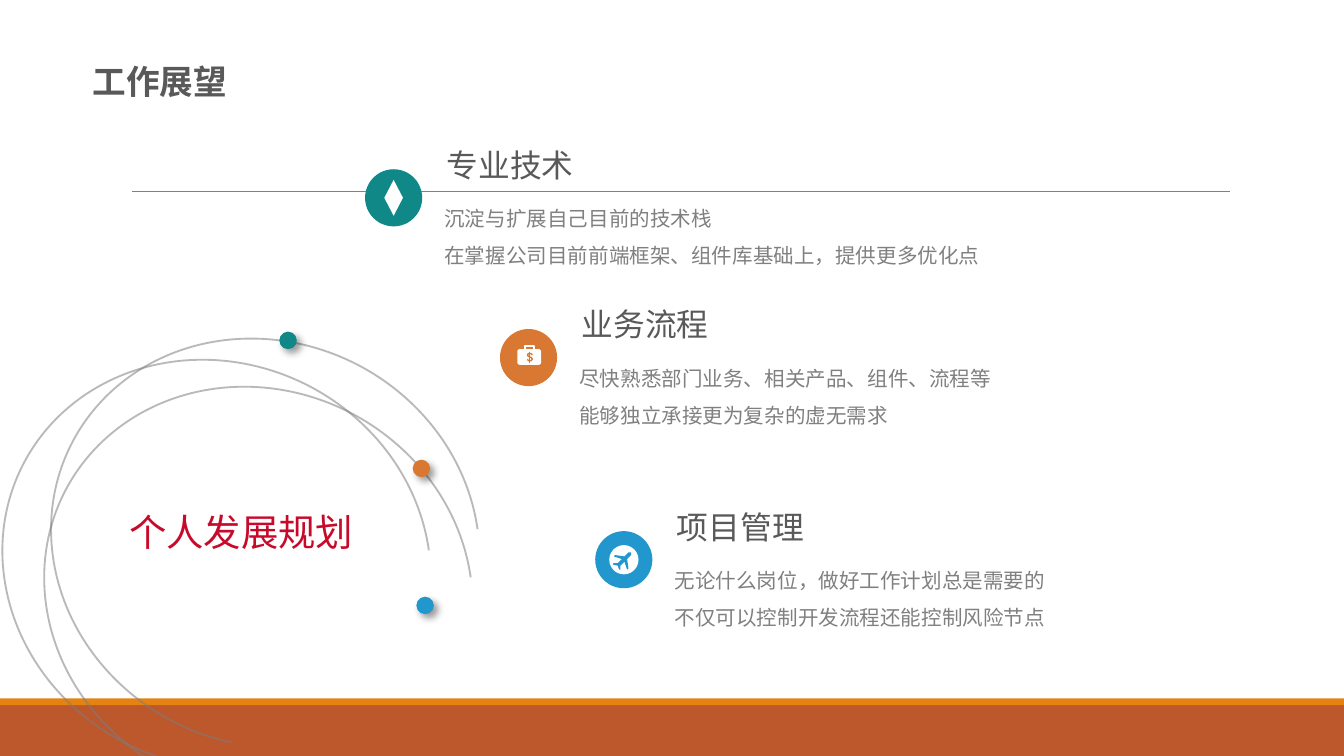
from dataclasses import dataclass

from lxml import etree
from pptx import Presentation
from pptx.dml.color import RGBColor
from pptx.enum.shapes import MSO_CONNECTOR, MSO_SHAPE
from pptx.enum.text import MSO_ANCHOR, MSO_AUTO_SIZE, PP_ALIGN
from pptx.oxml.ns import qn
from pptx.util import Cm, Pt

RECTANGLE = MSO_SHAPE.RECTANGLE
ROUNDED = MSO_SHAPE.ROUNDED_RECTANGLE
OVAL = MSO_SHAPE.OVAL
DIAMOND = MSO_SHAPE.DIAMOND
ARC = MSO_SHAPE.ARC
STRAIGHT = MSO_CONNECTOR.STRAIGHT
TOP, BOTTOM = MSO_ANCHOR.TOP, MSO_ANCHOR.BOTTOM
LEFT, CENTER = PP_ALIGN.LEFT, PP_ALIGN.CENTER
FIT_SHAPE = MSO_AUTO_SIZE.SHAPE_TO_FIT_TEXT


@dataclass(frozen=True)
class Theme:
    font: str = "Arial"
    title_size: int = 18
    heading_size: int = 17
    body_size: int = 11
    plan_size: int = 20
    white: str = "FFFFFF"
    dark: str = "595959"
    gray: str = "808080"
    arc: str = "7B7C81"
    red: str = "C80A2A"
    teal: str = "108887"
    orange: str = "D87833"
    blue: str = "2297CD"
    footer: str = "BD582C"
    footer_edge: str = "E48312"


THEME = Theme()
ICON_SIZE = 1.08
ICON_GRID = 430  # drawing units across an icon disc
PLANE = [(270, 160), (250, 160), (220, 190), (150, 180), (140, 190), (200, 210),
         (170, 240), (140, 240), (130, 250), (170, 260), (180, 290), (190, 290),
         (190, 260), (220, 230), (240, 290), (250, 280), (240, 210), (270, 180)]
CASE_HANDLE = [(190, 150), (190, 130), (255, 130), (255, 150)]
DOLLAR_CURVE = [(243, 195), (232, 184), (215, 184), (206, 195), (212, 205),
                (235, 215), (243, 225), (235, 238), (215, 238), (205, 228)]
DOLLAR_BAR = [(224, 170), (224, 252)]


def rgb(color):
    return RGBColor.from_string(color)


def add_solid(slide, kind, box, color):
    shape = slide.shapes.add_shape(kind, *map(Cm, box))
    shape.shadow.inherit = False
    shape.fill.solid()
    shape.fill.fore_color.rgb = rgb(color)
    shape.line.fill.background()
    return shape


def add_text(slide, box, lines, size, color, anchor=BOTTOM, align=LEFT,
             inset=True, wrap=True, bold=False, spacing=None):
    text_box = slide.shapes.add_textbox(*map(Cm, box))
    frame = text_box.text_frame
    frame.text = "\n".join(lines)
    frame.word_wrap = wrap
    frame.vertical_anchor = anchor
    if inset:
        frame.auto_size = FIT_SHAPE
    else:
        frame.margin_left = frame.margin_right = 0
        frame.margin_top = frame.margin_bottom = 0
    for paragraph in frame.paragraphs:
        paragraph.alignment = align
        paragraph.line_spacing = spacing
        for run in paragraph.runs:
            run.font.name = THEME.font
            run.font.size = Pt(size)
            run.font.bold = bold
            run.font.color.rgb = rgb(color)


def add_outline(slide, box, points, color, stroke=None):
    """Draw points on the icon grid: filled, or as an open line if stroke is given."""
    left, top, size = box
    scale = Cm(size) / ICON_GRID
    builder = slide.shapes.build_freeform(*points[0], scale=scale)
    builder.add_line_segments(points[1:], close=stroke is None)
    shape = builder.convert_to_shape(Cm(left), Cm(top))
    shape.shadow.inherit = False
    if stroke is None:
        shape.fill.solid()
        shape.fill.fore_color.rgb = rgb(color)
        shape.line.fill.background()
    else:
        shape.fill.background()
        shape.line.color.rgb = rgb(color)
        shape.line.width = Pt(stroke)


def add_on_grid(slide, kind, box, part, color):
    left, top, size = box
    x, y, width, height = (value * size / ICON_GRID for value in part)
    add_solid(slide, kind, (left + x, top + y, width, height), color)


def draw_diamond(slide, box, color):
    add_on_grid(slide, DIAMOND, box, (145, 80, 140, 270), THEME.white)


def draw_briefcase(slide, box, color):
    add_on_grid(slide, ROUNDED, box, (130, 150, 180, 120), THEME.white)
    add_outline(slide, box, CASE_HANDLE, THEME.white, stroke=1.25)
    add_outline(slide, box, DOLLAR_CURVE, color, stroke=0.75)
    add_outline(slide, box, DOLLAR_BAR, color, stroke=0.5)


def draw_plane(slide, box, color):
    add_on_grid(slide, OVAL, box, (105, 105, 220, 220), THEME.white)
    add_outline(slide, box, PLANE, color)


def add_frame(slide, width, height):
    # Footer bands
    add_solid(slide, RECTANGLE, (0, 13.33, width, height - 13.33), THEME.footer)
    add_solid(slide, RECTANGLE, (0, 13.2, width, 0.13), THEME.footer_edge)
    # Rule
    rule = slide.shapes.add_connector(STRAIGHT, Cm(2.49), Cm(3.62), Cm(23.24), Cm(3.62))
    rule.line.color.rgb = rgb(THEME.gray)
    rule.line.width = Pt(0.5)
    etree.SubElement(rule._element.spPr, qn("a:effectLst"))
    # Title
    add_text(slide, (1.5, 1.02, 3.07, 1.02), ["工作展望"], THEME.title_size,
             THEME.dark, anchor=TOP, wrap=False, bold=True)


def add_orbit(slide, left, top):
    shape = slide.shapes.add_shape(ARC, Cm(left), Cm(top), Cm(7.59), Cm(8.23))
    shape.shadow.inherit = False
    # Arc angles are stored in 60000ths of a degree, adjustments in 100000ths
    shape.adjustments[0] = 162 * 0.6
    shape.adjustments[1] = 58.66 * 0.6
    shape.rotation = 297.6
    shape.fill.background()
    shape.line.color.rgb = rgb(THEME.arc)
    shape.line.width = Pt(1)
    color = shape.line._ln.find(".//" + qn("a:srgbClr"))
    etree.SubElement(color, qn("a:alpha"), val="53000")


def add_dot(slide, left, top, color):
    dot = add_solid(slide, OVAL, (left, top, 0.33, 0.33), color)
    effects = dot._element.spPr.find(qn("a:effectLst"))
    shadow = etree.SubElement(effects, qn("a:outerShdw"), blurRad=str(Pt(4)),
                              dist=str(Pt(3)), dir=str(45 * 60000), rotWithShape="0")
    shade = etree.SubElement(shadow, qn("a:srgbClr"), val="000000")
    etree.SubElement(shade, qn("a:alpha"), val="40000")


def add_plan(slide, left, top):
    for x, y in [(0, 0.4), (0.79, 0.91), (0.92, 0)]:
        add_orbit(slide, left + x, top + y)
    for x, y, color in [(7.5, 2.54, THEME.orange), (7.57, 5.13, THEME.blue),
                        (4.98, 0.12, THEME.teal)]:
        add_dot(slide, left + x, top + y, color)
    add_text(slide, (left + 1.96, top + 3.1, 4.6, 1.22), ["个人发展规划"],
             THEME.plan_size, THEME.red, align=CENTER, inset=False)


def add_goal(slide, left, top, width, color, draw_icon, heading, lines):
    add_text(slide, (left + 1.54, top - 0.47, width - 1.54, 0.74), [heading],
             THEME.heading_size, THEME.dark, inset=False)
    add_text(slide, (left + 1.25, top + 0.34, width - 1.25, 1.68), lines,
             THEME.body_size, THEME.gray, anchor=TOP, spacing=1.5)
    add_solid(slide, OVAL, (left, top, ICON_SIZE, ICON_SIZE), color)
    draw_icon(slide, (left, top, ICON_SIZE), color)


def main():
    width, height = 25.4, 14.29
    presentation = Presentation()
    presentation.slide_width, presentation.slide_height = Cm(width), Cm(height)
    slide = presentation.slides.add_slide(presentation.slide_layouts[6])

    add_frame(slide, width, height)
    add_plan(slide, 0.3, 6.15)
    goals = [
        (6.9, 3.2, 13.8, THEME.teal, draw_diamond, "专业技术",
         ["沉淀与扩展自己目前的技术栈",
          "在掌握公司目前前端框架、组件库基础上，提供更多优化点"]),
        (9.45, 6.22, 12.83, THEME.orange, draw_briefcase, "业务流程",
         ["尽快熟悉部门业务、相关产品、组件、流程等", "能够独立承接更为复杂的虚无需求"]),
        (11.25, 10.04, 13.04, THEME.blue, draw_plane, "项目管理",
         ["无论什么岗位，做好工作计划总是需要的", "不仅可以控制开发流程还能控制风险节点"]),
    ]
    for goal in goals:
        add_goal(slide, *goal)

    presentation.save("out.pptx")


if __name__ == "__main__":
    main()
